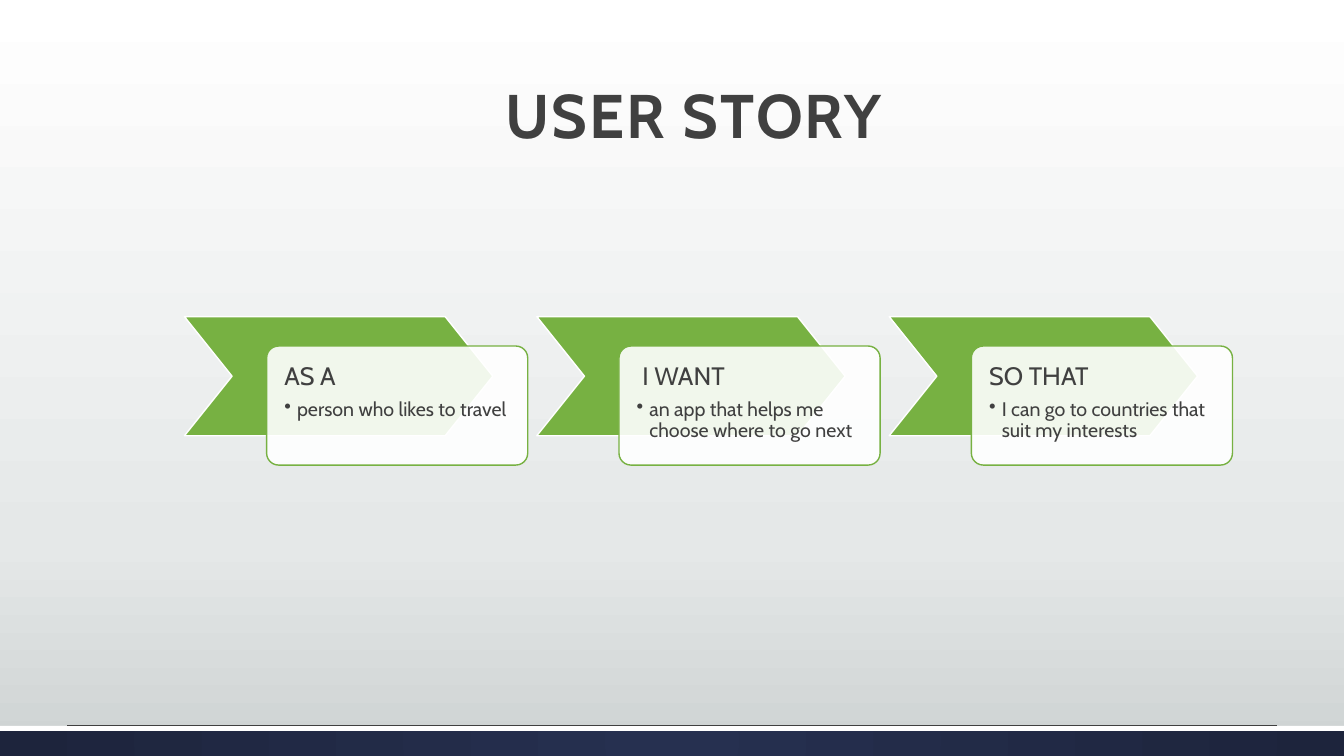
from lxml import etree
from pptx import Presentation
from pptx import util as u
from pptx.dml.color import RGBColor
from pptx.enum import shapes, text
from pptx.oxml import ns

# Content
TITLE = "USER STORY"
STEPS = [
    ("AS A", "person who likes to travel"),
    (" I WANT", "an app that helps me choose where to go next"),
    ("SO THAT", "I can go to countries that suit my interests"),
]
HEX = {"ink": "404040", "green": "77B142", "white": "FFFFFF"}
SKY = [(0, "FFFFFF"), (72, "E5E8E8"), (100, "CDD2D2")]
NAVY = [(0, "263050"), (100, "1D243C")]
FONT = "Cabin"

# Layout in centimetres
WIDE, HIGH = 33.87, 19.05
LEFT, TOP, STEP = 4.65, 7.98, 8.88
ARROW, CARD, TALL = 7.77, 6.58, 3.0
SHIFT, DROP = 2.07, 0.74
FOOT = 18.29

Kind = shapes.MSO_SHAPE


def rgb(name):
    return RGBColor.from_string(HEX[name])


def blend(root, stops, shade):
    """Turn the first solid fill under root into a gradient."""
    old = next(root.iter(ns.qn("a:solidFill")))
    new = etree.Element(ns.qn("a:gradFill"), rotWithShape="1")
    rows = etree.SubElement(new, ns.qn("a:gsLst"))
    for spot, tone in stops:
        gs = etree.SubElement(rows, ns.qn("a:gs"), pos=str(spot * 1000))
        etree.SubElement(gs, ns.qn("a:srgbClr"), val=tone)
    if shade == "down":
        etree.SubElement(new, ns.qn("a:lin"), ang="5400000", scaled="0")
    else:
        way = etree.SubElement(new, ns.qn("a:path"), path="circle")
        mid = dict.fromkeys("ltrb", "50000")
        etree.SubElement(way, ns.qn("a:fillToRect"), **mid)
    old.getparent().replace(old, new)


def draw(kind, x, y, w, h, fill="white", line=None, bend=None):
    box = page.shapes.add_shape(kind, u.Cm(x), u.Cm(y), u.Cm(w), u.Cm(h))
    box.shadow.inherit = False
    box.fill.solid()
    box.fill.fore_color.rgb = rgb(fill)
    if line:
        box.line.color.rgb = rgb(line)
        box.line.width = u.Pt(1)
    else:
        box.line.fill.background()
    if bend is not None:
        box.adjustments[0] = bend
    return box


def write(para, words, size, bold=False, align=text.PP_ALIGN.LEFT,
          after=0, track=0, bullet=False):
    para.text = words
    if bullet:
        props = para._p.get_or_add_pPr()
        props.set("marL", str(u.Cm(0.32)))
        props.set("indent", str(-u.Cm(0.32)))
        etree.SubElement(props, ns.qn("a:buChar"), char="•")
    para.alignment = align
    para.line_spacing = 0.9
    para.space_after = u.Pt(after)
    font = para.runs[0].font
    font.name, font.size, font.bold = FONT, u.Pt(size), bold
    font.color.rgb = rgb("ink")
    if track:
        para.runs[0]._r.get_or_add_rPr().set("spc", str(track))


deck = Presentation()
deck.slide_width, deck.slide_height = u.Cm(WIDE), u.Cm(HIGH)
page = deck.slides.add_slide(deck.slide_layouts[6])

# Background
page.background.fill.solid()
blend(page.element, SKY, "down")

# Footer band, white strip and thin rule
band = draw(Kind.RECTANGLE, 0, FOOT, WIDE, HIGH - FOOT)
blend(band._element, NAVY, "round")
draw(Kind.RECTANGLE, 0, FOOT, WIDE, 0.13)
rule = page.shapes.add_connector(
    shapes.MSO_CONNECTOR.STRAIGHT,
    u.Cm(1.69), u.Cm(FOOT - 0.02), u.Cm(WIDE - 1.69), u.Cm(FOOT - 0.02))
rule.line.color.rgb = rgb("ink")
rule.line.width = u.Pt(0.75)
etree.SubElement(rule._element.spPr, ns.qn("a:effectLst"))

# Title
head = page.shapes.add_textbox(
    u.Cm(12.34), u.Cm(2.29), u.Cm(10.29), u.Cm(1.42)).text_frame
head.word_wrap = True
head.vertical_anchor = text.MSO_ANCHOR.MIDDLE
write(head.paragraphs[0], TITLE, 44, bold=True,
      align=text.PP_ALIGN.CENTER, track=150)

# Chevrons, each with its card
for i, (label, point) in enumerate(STEPS):
    x = LEFT + i * STEP
    draw(Kind.CHEVRON, x, TOP, ARROW, TALL, "green", "white", 0.4)
    card = draw(Kind.ROUNDED_RECTANGLE, x + SHIFT, TOP + DROP, CARD, TALL,
                "white", "green", 0.1)
    tone = next(card._element.spPr.iter(ns.qn("a:srgbClr")))
    etree.SubElement(tone, ns.qn("a:alpha"), val="90000")
    body = card.text_frame
    body.word_wrap = True
    body.vertical_anchor = text.MSO_ANCHOR.TOP
    body.margin_left = body.margin_right = u.Cm(0.36)
    body.margin_top = body.margin_bottom = u.Cm(0.36)
    write(body.paragraphs[0], label, 18, after=6.3)
    write(body.add_paragraph(), point, 14, after=2.1, bullet=True)

deck.save("out.pptx")
